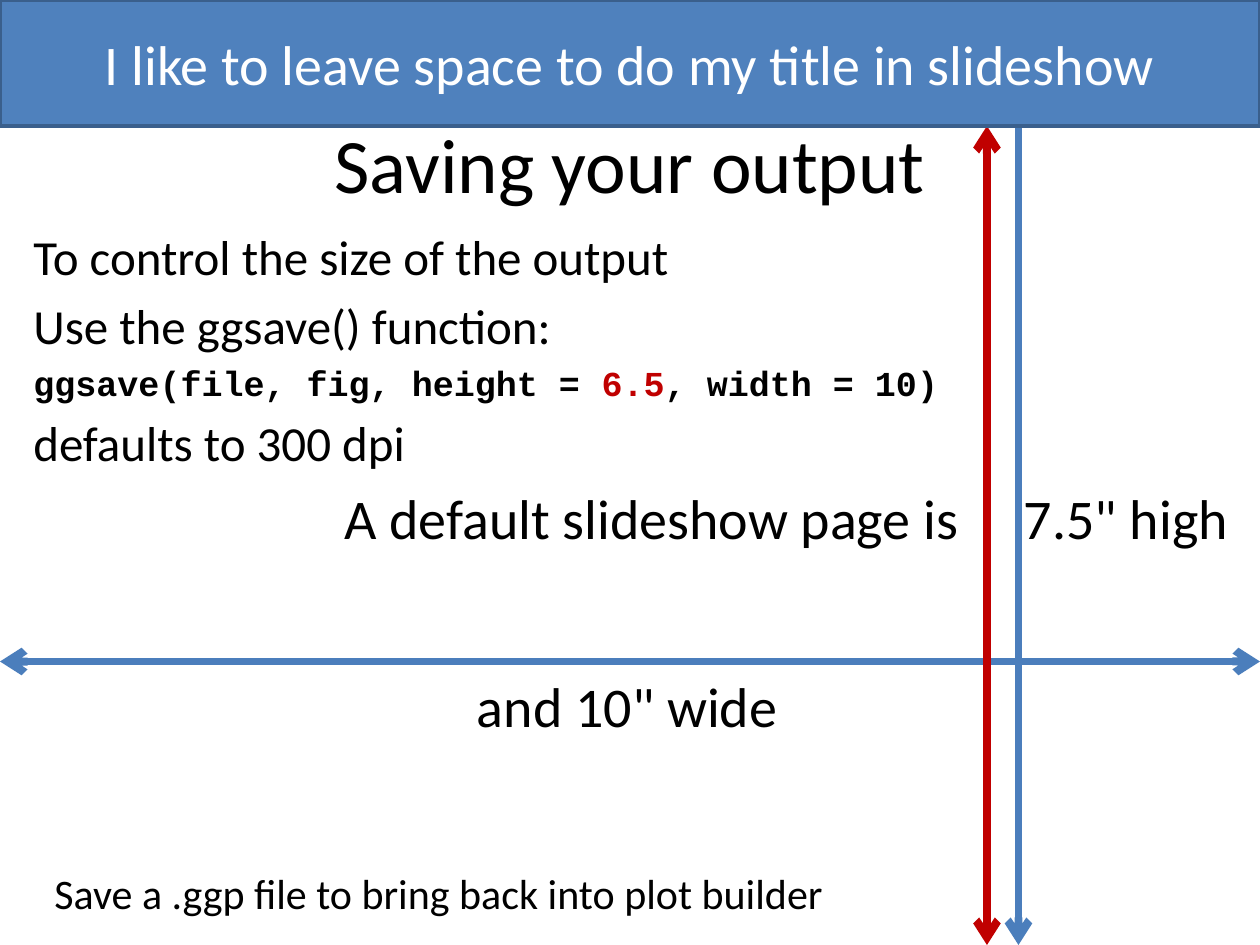
from pptx import Presentation
from pptx.dml.color import RGBColor
from pptx.enum.shapes import MSO_CONNECTOR as Connector, MSO_SHAPE as Shape
from pptx.enum.text import MSO_ANCHOR as Anchor, PP_ALIGN as Align
from pptx.oxml.ns import qn
from pptx.util import Pt
from lxml.etree import SubElement

BLACK = RGBColor(0x00, 0x00, 0x00)
WHITE = RGBColor(0xFF, 0xFF, 0xFF)
RED = RGBColor(0xC0, 0x00, 0x00)
BLUE = RGBColor(0x4F, 0x81, 0xBD)
ARROW_BLUE = RGBColor(0x4B, 0x7E, 0xBC)
BORDER_BLUE = RGBColor(0x3A, 0x5F, 0x8C)

WIDTH, HEIGHT, BANNER_HEIGHT = 720, 540, 72
SPACE_BEFORE = 0.2  # share of the text size


def add_span(para, text, size, color=BLACK, font="Calibri", bold=False):
    span = para.add_run()
    span.text = text
    span.font.size = Pt(size)
    span.font.name = font
    span.font.bold = bold
    span.font.color.rgb = color


def add_label(page, text, size, left, top, width, height,
              align=Align.LEFT, anchor=Anchor.TOP, wrap=False):
    box = page.shapes.add_textbox(Pt(left), Pt(top), Pt(width), Pt(height))
    frame = box.text_frame
    frame.word_wrap = wrap
    frame.vertical_anchor = anchor
    para = frame.paragraphs[0]
    para.alignment = align
    add_span(para, text, size)


def add_tab_stops(para, stops):
    tabs = SubElement(para._p.get_or_add_pPr(), qn("a:tabLst"))
    for position, align in stops:
        SubElement(tabs, qn("a:tab"), pos=str(Pt(position)), algn=align)


def add_body(page, left, top, width, height):
    box = page.shapes.add_textbox(Pt(left), Pt(top), Pt(width), Pt(height))
    frame = box.text_frame
    frame.word_wrap = True
    code = {"font": "Courier New", "bold": True}
    lines = [
        (28, [("To control the size of the output", {})]),
        (28, [("Use the ggsave() function:", {})]),
        (20, [("ggsave(file, fig, height = ", code),
              ("6.5", {**code, "color": RED}),
              (", width = 10)", code)]),
        (28, [("defaults to 300 dpi", {})]),
        (32, [("\tA default slideshow page is\t7.5\" high", {})]),
    ]
    for index, (size, spans) in enumerate(lines):
        para = frame.add_paragraph() if index else frame.paragraphs[0]
        if index:
            para.space_before = Pt(size * SPACE_BEFORE)
        for text, style in spans:
            add_span(para, text, size, **style)
    # The size note sits on both sides of the vertical arrows
    add_tab_stops(para, [(529, "r"), (566, "l")])


def add_double_arrow(page, start, end, color):
    line = page.shapes.add_connector(
        Connector.STRAIGHT, *(Pt(value) for value in (*start, *end)))
    line.line.color.rgb = color
    line.line.width = Pt(4.5)
    outline = line.line._get_or_add_ln()
    for tag in ("a:headEnd", "a:tailEnd"):
        SubElement(outline, qn(tag), type="arrow")
    SubElement(line._element.spPr, qn("a:effectLst"))


def add_banner(page, left, top, width, height):
    banner = page.shapes.add_shape(
        Shape.RECTANGLE, Pt(left), Pt(top), Pt(width), Pt(height))
    banner.shadow.inherit = False
    banner.fill.solid()
    banner.fill.fore_color.rgb = BLUE
    banner.line.color.rgb = BORDER_BLUE
    banner.line.width = Pt(2)
    banner.text_frame.vertical_anchor = Anchor.MIDDLE
    para = banner.text_frame.paragraphs[0]
    para.alignment = Align.CENTER
    add_span(para, "I like to leave space to do my title in slideshow", 32, WHITE)


def main():
    deck = Presentation()
    deck.slide_width, deck.slide_height = Pt(WIDTH), Pt(HEIGHT)
    page = deck.slides.add_slide(deck.slide_layouts[6])

    # Title and explanation
    add_label(page, "Saving your output", 44, 36, 48, 648, 90,
              Align.CENTER, Anchor.MIDDLE, wrap=True)
    add_body(page, 12, 126, 708, 246)

    # Full slide height and width
    add_double_arrow(page, (582, 0), (582, HEIGHT), ARROW_BLUE)
    add_double_arrow(page, (0, 378), (WIDTH, 378), ARROW_BLUE)
    add_label(page, "and 10\" wide", 32, 265.5, 380, 188, 46)

    # Height left below the banner
    add_double_arrow(page, (564, BANNER_HEIGHT), (564, HEIGHT), RED)
    add_banner(page, 0, 0, WIDTH, BANNER_HEIGHT)

    # Closing tip
    add_label(page, "Save a .ggp file to bring back into plot builder", 24,
              24, 492, 458, 36)

    deck.save("out.pptx")


if __name__ == "__main__":
    main()
